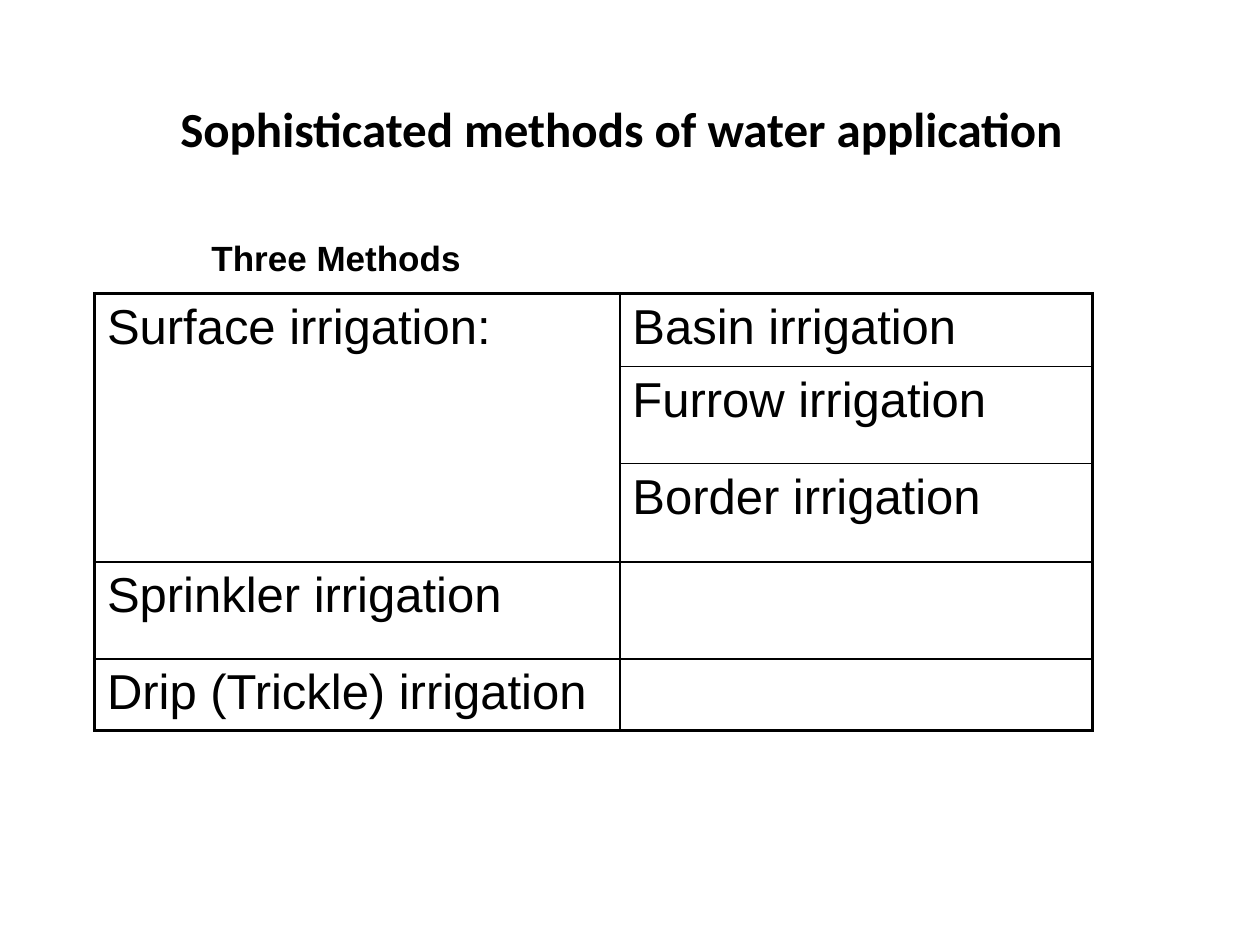
from lxml import etree
from pptx import Presentation
from pptx import util as u
from pptx.dml import color
from pptx.enum import text
from pptx.oxml import ns

BLACK = "000000"
THICK, THIN = 2.25, 1
COLUMN_WIDTHS = [4.17, 3.75]
ROW_HEIGHTS = [0.58, 0.77, 0.78, 0.77, 0.57]
METHODS = [
    ["Surface irrigation:", "Basin irrigation"],
    ["", "Furrow irrigation"],
    ["", "Border irrigation"],
    ["Sprinkler irrigation", ""],
    ["Drip (Trickle) irrigation", ""],
]


def rgb(value):
    return color.RGBColor.from_string(value)


def add_span(para, words, **formats):
    span = para.add_run()
    span.text = words
    for name, value in formats.items():
        setattr(span.font, name, value)
    span.font.color.rgb = rgb(BLACK)


def add_title(page, words):
    title = page.shapes.title
    place = {"left": 0.5, "top": 0.3, "width": 9, "height": 1.25}
    for name, value in place.items():
        setattr(title, name, u.Inches(value))
    title.text_frame.vertical_anchor = text.MSO_ANCHOR.MIDDLE
    para = title.text_frame.paragraphs[0]
    para.alignment = text.PP_ALIGN.CENTER
    add_span(para, words, size=u.Pt(28), name="Calibri", bold=True)
    add_span(para, " ", size=u.Pt(44), name="Calibri", bold=False)


def add_label(page, words):
    box = page.shapes.add_textbox(
        u.Inches(1.58), u.Inches(1.83), u.Inches(2.18), u.Inches(0.43)
    )
    box.text_frame.word_wrap = False
    box.text_frame.auto_size = text.MSO_AUTO_SIZE.SHAPE_TO_FIT_TEXT
    add_span(box.text_frame.paragraphs[0], words,
             size=u.Pt(20), name="Arial", bold=True)


def set_borders(cell, widths):
    properties = cell._tc.get_or_add_tcPr()
    for index, (side, width) in enumerate(widths.items()):
        line = etree.Element(ns.qn(f"a:ln{side}"), w=str(u.Pt(width)))
        fill = etree.SubElement(line, ns.qn("a:solidFill"))
        etree.SubElement(fill, ns.qn("a:srgbClr"), val=BLACK)
        properties.insert(index, line)


def add_methods_table(page):
    last_row, last_column = len(ROW_HEIGHTS) - 1, len(COLUMN_WIDTHS) - 1
    table = page.shapes.add_table(
        last_row + 1, last_column + 1, u.Inches(0.75), u.Inches(2.33),
        u.Inches(sum(COLUMN_WIDTHS)), u.Inches(sum(ROW_HEIGHTS)),
    ).table
    table.first_row = table.horz_banding = False
    for column, width in zip(table.columns, COLUMN_WIDTHS):
        column.width = u.Inches(width)
    for row, height in zip(table.rows, ROW_HEIGHTS):
        row.height = u.Inches(height)
    for r, words_in_row in enumerate(METHODS):
        for c, words in enumerate(words_in_row):
            cell = table.cell(r, c)
            cell.fill.background()
            set_borders(cell, {
                "L": THICK if c == 0 else THIN,
                "R": THICK if c == last_column else THIN,
                "T": THICK if r == 0 else THIN,
                "B": THICK if r == last_row else THIN,
            })
            if words:
                add_span(cell.text_frame.paragraphs[0], words,
                         size=u.Pt(28), name="Arial")
    table.cell(0, 0).merge(table.cell(2, 0))


def main():
    deck = Presentation()
    deck.slide_width, deck.slide_height = u.Inches(10), u.Inches(7.5)
    page = deck.slides.add_slide(deck.slide_layouts.get_by_name("Title Only"))
    add_title(page, "Sophisticated methods of water application")
    add_methods_table(page)
    add_label(page, "Three Methods")
    deck.save("out.pptx")


if __name__ == "__main__":
    main()
